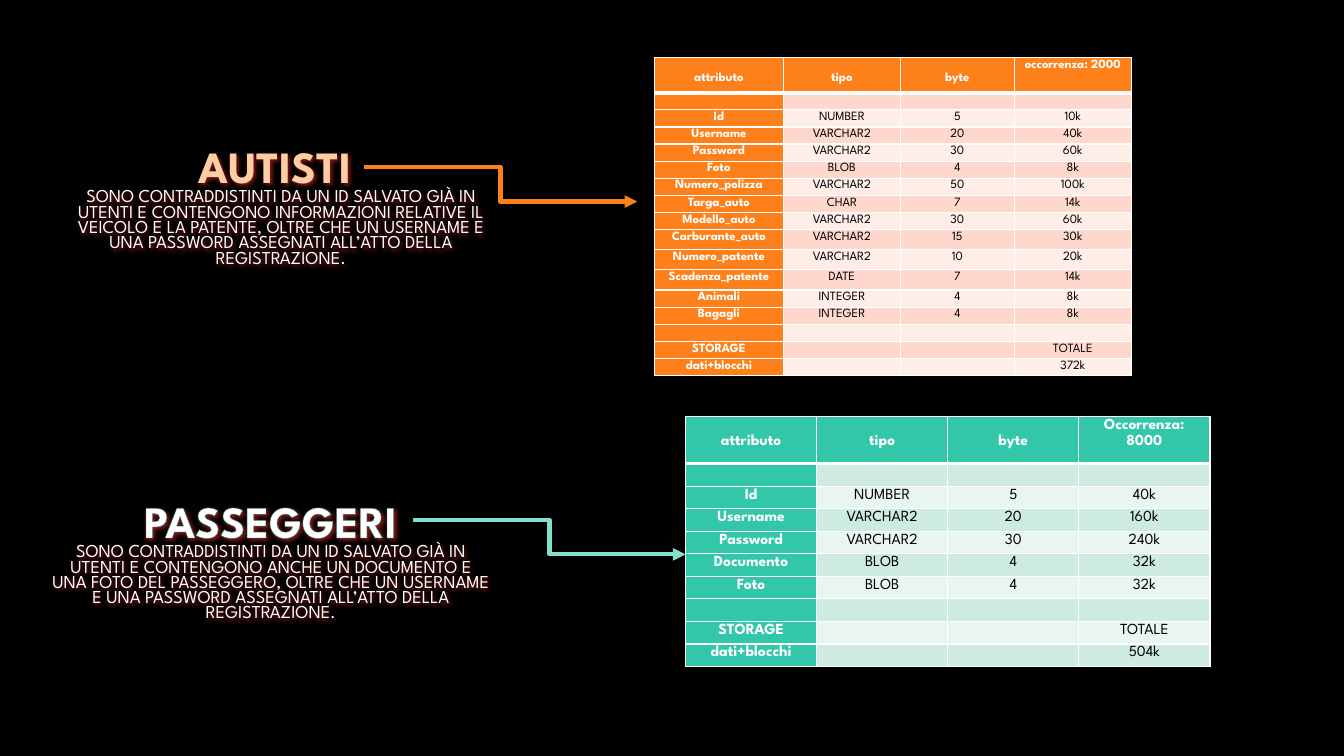
"""Build the slide that sizes the drivers and passengers tables."""
import pptx
import pptx.util
import pptx.dml.color
import pptx.enum.shapes
import pptx.enum.text
import pptx.oxml
import pptx.oxml.ns
from lxml import etree

Inches = pptx.util.Inches
Pt = pptx.util.Pt
qn = pptx.oxml.ns.qn
NS = 'xmlns:a="http://schemas.openxmlformats.org/drawingml/2006/main"'
COLORS = {
    "black": "000000", "white": "FFFFFF", "peach": "FFCCA3", "glow": "DF2E28",
    "orange": "FE801A", "orange_mid": "FFD8CD", "orange_pale": "FFEDE8",
    "teal": "32C7A9", "teal_mid": "CEEBE2", "teal_pale": "E8F5F1",
    "teal_dark": "26957F", "teal_line": "82E0CD",
}


def rgb(name):
    return pptx.dml.color.RGBColor.from_string(COLORS[name])


def write(paragraph, text, size, color, bold=False, spacing=1.15, outline=None):
    paragraph.alignment = pptx.enum.text.PP_ALIGN.CENTER
    paragraph.line_spacing = spacing
    if not text:
        etree.SubElement(paragraph._p, qn("a:endParaRPr"), sz=str(size * 100))
        return
    run = paragraph.add_run()
    run.text = text
    run.font.size = Pt(size)
    run.font.name = "League Spartan"
    run.font.bold = bold
    run.font.color.rgb = rgb(color)
    if outline:
        line_color, width = outline
        run.font._element.insert(0, pptx.oxml.parse_xml(
            f'<a:ln {NS} w="{Pt(width)}"><a:solidFill>'
            f'<a:srgbClr val="{COLORS[line_color]}"/></a:solidFill></a:ln>'))


entities = [
    {
        "heading": "AUTISTI ", "heading_color": "peach", "outline": ("orange", 1.75),
        "description": "SONO CONTRADDISTINTI DA UN ID SALVATO GIÀ IN UTENTI E CONTENGONO "
                       "INFORMAZIONI RELATIVE IL VEICOLO E LA PATENTE, OLTRE CHE UN USERNAME E "
                       "UNA PASSWORD ASSEGNATI ALL’ATTO DELLA REGISTRAZIONE.",
        "text_at": (0.51, 1.23), "arrow": (3.61, 1.66, 6.32, 2), "arrow_color": "orange",
        "theme": "orange", "table_at": (6.49, 0.57), "size": 9, "margin": 0.06,
        "header_drop": 0.13, "columns": [1.28, 1.16, 1.13, 1.16],
        "heights": [0.35] + [0.17] * 8 + [0.2] * 3 + [0.17] * 5,
        "rows": [
            ("attributo", "tipo", "byte", "occorrenza: 2000"),
            ("", "", "", ""),
            ("Id", "NUMBER", "5", "10k"),
            ("Username", "VARCHAR2", "20", "40k"),
            ("Password", "VARCHAR2", "30", "60k"),
            ("Foto", "BLOB", "4", "8k"),
            ("Numero_polizza", "VARCHAR2", "50", "100k"),
            ("Targa_auto", "CHAR", "7", "14k"),
            ("Modello_auto", "VARCHAR2", "30", "60k"),
            ("Carburante_auto", "VARCHAR2", "15", "30k"),
            ("Numero_patente", "VARCHAR2", "10", "20k"),
            ("Scadenza_patente", "DATE", "7", "14k"),
            ("Animali", "INTEGER", "4", "8k"),
            ("Bagagli", "INTEGER", "4", "8k"),
            ("", "", "", ""),
            ("STORAGE", "", "", "TOTALE"),
            ("dati+blocchi", "", "", "372k"),
        ],
    },
    {
        "heading": "PASSEGGERI", "heading_color": "white", "outline": ("teal_dark", 0.8),
        "description": "SONO CONTRADDISTINTI DA UN ID SALVATO GIÀ IN UTENTI E CONTENGONO ANCHE "
                       "UN DOCUMENTO E UNA FOTO DEL PASSEGGERO, OLTRE CHE UN USERNAME E UNA "
                       "PASSWORD ASSEGNATI ALL’ATTO DELLA REGISTRAZIONE.",
        "text_at": (0.41, 4.75), "arrow": (4.1, 5.16, 6.8, 5.5), "arrow_color": "teal_line",
        "theme": "teal", "table_at": (6.8, 4.13), "size": 11, "margin": 0.07,
        "header_drop": 0.16, "columns": [1.3] * 4,
        "heights": [0.47] + [0.224] * 9,
        "rows": [
            ("attributo", "tipo", "byte", "Occorrenza: 8000"),
            ("", "", "", ""),
            ("Id", "NUMBER", "5", "40k"),
            ("Username", "VARCHAR2", "20", "160k"),
            ("Password", "VARCHAR2", "30", "240k"),
            ("Documento", "BLOB", "4", "32k"),
            ("Foto", "BLOB", "4", "32k"),
            ("", "", "", ""),
            ("STORAGE", "", "", "TOTALE"),
            ("dati+blocchi", "", "", "504k"),
        ],
    },
]

deck = pptx.Presentation()
deck.slide_width, deck.slide_height = Inches(13.33), Inches(7.5)
slide = deck.slides.add_slide(deck.slide_layouts[5])
slide.background.fill.solid()
slide.background.fill.fore_color.rgb = rgb("black")

for index, entity in enumerate(entities):
    left, top = (Inches(value) for value in entity["text_at"])
    if index == 0:
        caption = slide.shapes.title
        caption.left, caption.top = left, top
        caption.width, caption.height = Inches(4.55), Inches(1.89)
    else:
        caption = slide.shapes.add_textbox(left, top, Inches(4.55), Inches(1.89))
    frame = caption.text_frame
    frame.word_wrap = True
    frame.auto_size = pptx.enum.text.MSO_AUTO_SIZE.NONE
    frame.vertical_anchor = pptx.enum.text.MSO_ANCHOR.MIDDLE
    frame.margin_bottom = Inches(0.23)
    write(frame.paragraphs[0], entity["heading"], 31.9, entity["heading_color"],
          bold=True, spacing=0.7, outline=entity["outline"])
    write(frame.add_paragraph(), entity["description"], 13, "white", spacing=0.7)
    caption._element.spPr.append(pptx.oxml.parse_xml(
        f'<a:effectLst {NS}><a:outerShdw blurRad="38100" dist="19050" dir="2700000">'
        f'<a:srgbClr val="{COLORS["glow"]}"><a:alpha val="60000"/></a:srgbClr>'
        '</a:outerShdw></a:effectLst>'))

    arrow = slide.shapes.add_connector(pptx.enum.shapes.MSO_CONNECTOR.ELBOW,
                                       *(Inches(value) for value in entity["arrow"]))
    arrow.line.width = Pt(3)
    arrow.line.color.rgb = rgb(entity["arrow_color"])
    etree.SubElement(arrow.line._get_or_add_ln(), qn("a:tailEnd"), type="triangle")
    etree.SubElement(arrow._element.spPr, qn("a:effectLst"))

    rows, theme = entity["rows"], entity["theme"]
    left, top = (Inches(value) for value in entity["table_at"])
    grid = slide.shapes.add_table(len(rows), 4, left, top, Inches(sum(entity["columns"])),
                                  Inches(sum(entity["heights"]))).table
    for column, width in zip(grid.columns, entity["columns"]):
        column.width = Inches(width)
    for r, values in enumerate(rows):
        grid.rows[r].height = Inches(entity["heights"][r])
        for c, value in enumerate(values):
            cell = grid.cell(r, c)
            strong = r == 0 or c == 0
            cell.margin_left = cell.margin_right = Inches(entity["margin"])
            cell.margin_top = Inches(entity["header_drop"] if r == 0 and c < 3 else 0)
            cell.margin_bottom = 0
            cell.fill.solid()
            band = theme + ("_mid" if r % 2 else "_pale")
            cell.fill.fore_color.rgb = rgb(theme if strong else band)
            write(cell.text_frame.paragraphs[0], value, entity["size"],
                  "white" if strong else "black", bold=strong)
            widths = {"L": 1, "R": 1, "T": 3 if r == 1 else 1, "B": 3 if r == 0 else 1}
            for position, (side, width) in enumerate(widths.items()):
                cell._tc.get_or_add_tcPr().insert(position, pptx.oxml.parse_xml(
                    f'<a:ln{side} {NS} w="{Pt(width)}"><a:solidFill>'
                    f'<a:srgbClr val="{COLORS["white"]}"/></a:solidFill></a:ln{side}>'))

deck.save("out.pptx")
